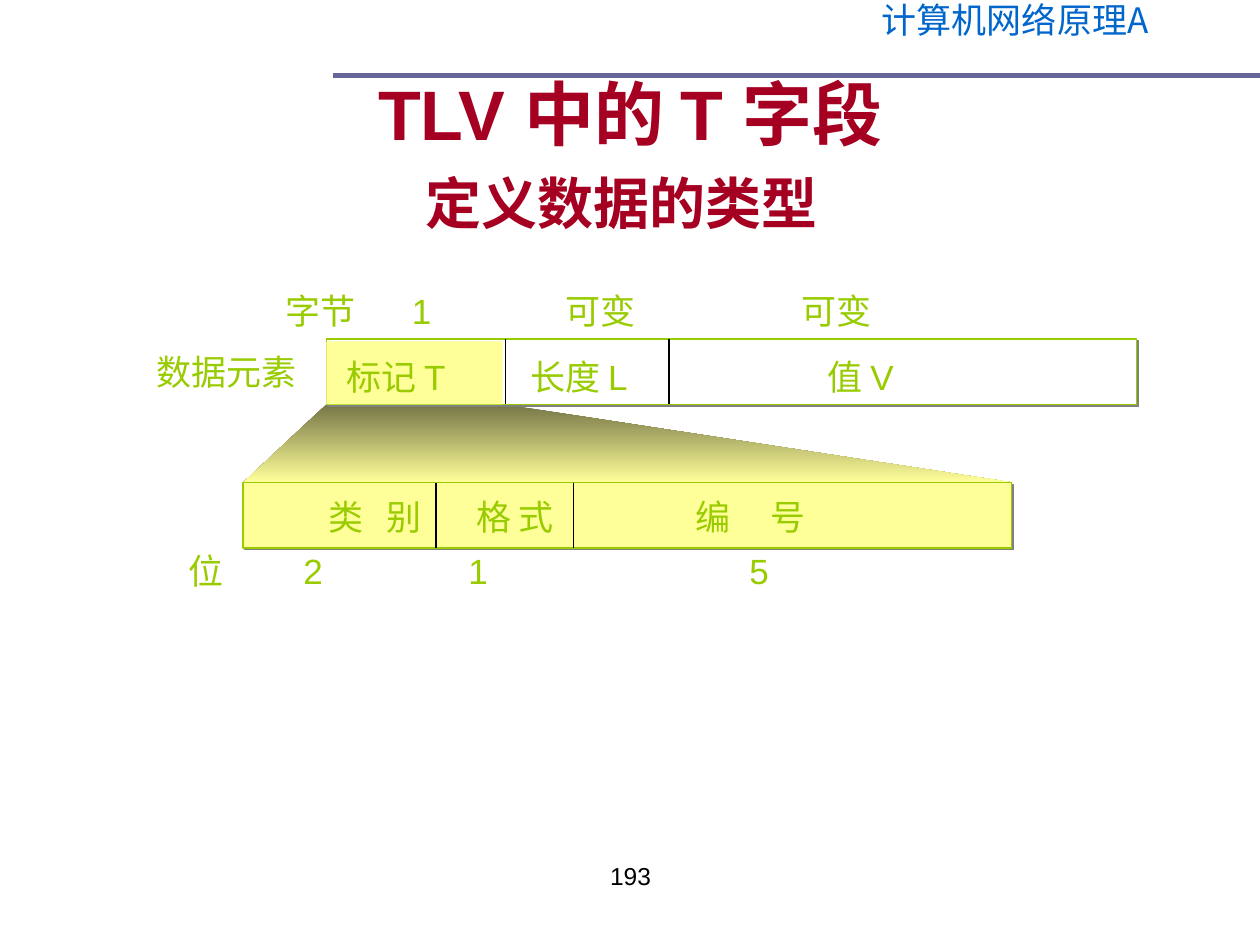
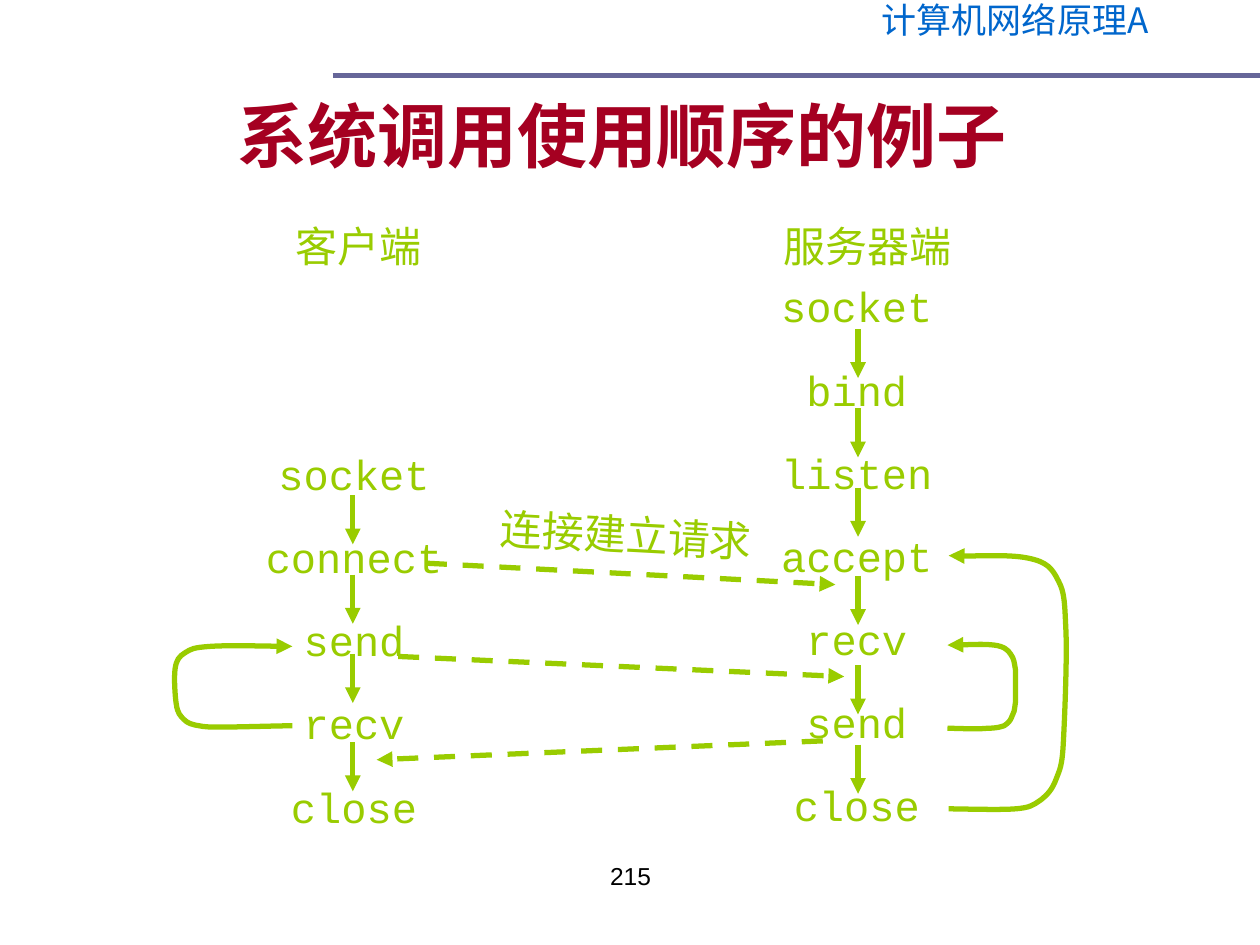
import pptx
import pptx.util
import pptx.dml.color
import pptx.enum.dml
import pptx.enum.shapes
import pptx.enum.text
import pptx.oxml.ns
from lxml import etree

Inches = pptx.util.Inches
RGBColor = pptx.dml.color.RGBColor
qn = pptx.oxml.ns.qn
ALIGN = pptx.enum.text.PP_ALIGN
RECTANGLE = pptx.enum.shapes.MSO_SHAPE.RECTANGLE
STRAIGHT = pptx.enum.shapes.MSO_CONNECTOR.STRAIGHT

GREEN = RGBColor(0x99, 0xCC, 0x00)
YELLOW = RGBColor(0xFF, 0xFF, 0x99)
OLIVE = RGBColor(0x76, 0x76, 0x47)
RED = RGBColor(0xA5, 0x00, 0x21)
BLUE = RGBColor(0x00, 0x66, 0xCC)
SLATE = RGBColor(0x66, 0x66, 0x99)
BLACK = RGBColor(0x00, 0x00, 0x00)
WHITE = RGBColor(0xFF, 0xFF, 0xFF)
CJK_FONT = "Noto Sans CJK SC"
CODE_FONT = "Courier New"


def write(slide, text, at, box=None, size=20, font="Arial", color=GREEN, bold=False,
          align=ALIGN.LEFT, wrap=False, spacing=None,
          anchor=pptx.enum.text.MSO_ANCHOR.TOP, tabs=()):
    """Fill a new text box, or the given one, with a string or (string, size) pairs."""
    places = [Inches(length) for length in at]
    if box is None:
        box = slide.shapes.add_textbox(*places)
    box.left, box.top, box.width, box.height = places
    frame = box.text_frame
    frame.word_wrap = wrap
    frame.auto_size = pptx.enum.text.MSO_AUTO_SIZE.NONE
    frame.vertical_anchor = anchor
    para = frame.paragraphs[0]
    para.alignment = align
    if spacing:
        para.line_spacing = spacing
    if tabs:
        tab_list = etree.SubElement(para._p.get_or_add_pPr(), qn("a:tabLst"))
        for stop in tabs:
            etree.SubElement(tab_list, qn("a:tab"), pos=str(Inches(stop)), algn="l")
    for words, points in [(text, size)] if isinstance(text, str) else text:
        if words.startswith("\n"):
            para.add_line_break()
        span = para.add_run()
        span.text = words.lstrip("\n")
        span.font.size = pptx.util.Pt(points)
        span.font.name = font
        span.font.bold = bold
        span.font.color.rgb = color
        etree.SubElement(span._r.get_or_add_rPr(), qn("a:ea"), typeface=CJK_FONT)
    return box


def stroke(shape, color=GREEN, width=3, arrow=False, dashed=False):
    """Style an outline and return the shape's empty effect list."""
    shape.line.color.rgb = color
    shape.line.width = pptx.util.Pt(width)
    if dashed:
        shape.line.dash_style = pptx.enum.dml.MSO_LINE.DASH
    properties = shape._element.spPr
    if arrow:
        etree.SubElement(properties.find(qn("a:ln")), qn("a:tailEnd"), type="triangle")
    return etree.SubElement(properties, qn("a:effectLst"))


deck = pptx.Presentation()
deck.slide_width, deck.slide_height = Inches(10), Inches(7.5)

# Header, rule, title and page number
pages = []
for title, title_top, number in [
    ([("TLV 中的 T 字段", 40), ("\n定义数据的类型", 32), (" ", 40)], 0.6, "193"),
    ([("系统调用使用顺序的例子 ", 40)], 0.44, "215"),
]:
    slide = deck.slides.add_slide(deck.slide_layouts[5])
    write(slide, "计算机网络原理A", (6.9, 0, 2.99, 0.44),
          font=CJK_FONT, color=BLUE, spacing=0.8)
    rule = slide.shapes.add_connector(
        STRAIGHT, Inches(2.64), Inches(0.6), Inches(10), Inches(0.6))
    stroke(rule, SLATE)
    write(slide, title, (0.5, title_top, 9, 1.25), box=slide.shapes.title,
          color=RED, bold=True, align=ALIGN.CENTER, wrap=True,
          anchor=pptx.enum.text.MSO_ANCHOR.MIDDLE)
    write(slide, number, (3.42, 6.83, 3.17, 0.52), size=14, color=BLACK,
          align=ALIGN.CENTER, wrap=True, spacing=0.8)
    pages.append(slide)
tlv_slide, calls_slide = pages

# The T field fans out into its bits
fan_points = [(Inches(x), Inches(y)) for x, y in
              [(1.93, 3.83), (2.59, 3.21), (4, 3.21), (8.04, 3.83)]]
builder = tlv_slide.shapes.build_freeform(*fan_points[0], scale=1.0)
builder.add_line_segments(fan_points[1:], close=True)
fan = builder.convert_to_shape()
fan.shadow.inherit = False
fan.line.fill.background()
fan.fill.gradient()
fan.fill.gradient_angle = 270
for stop, color in zip(fan.fill.gradient_stops, (OLIVE, YELLOW)):
    stop.color.rgb = color

FIELD_HEIGHT = 0.52
for left, top, width, color, dividers in [
    (2.59, 2.69, 6.43, WHITE, (4.01, 5.31)),
    (1.93, 3.83, 6.1, YELLOW, (3.46, 4.55)),
]:
    row = tlv_slide.shapes.add_shape(
        RECTANGLE, Inches(left), Inches(top), Inches(width), Inches(FIELD_HEIGHT))
    row.fill.solid()
    row.fill.fore_color.rgb = color
    effects = stroke(row, GREEN, 0.75)
    shadow = etree.SubElement(effects, qn("a:outerShdw"), dist="17961", dir="2700000")
    etree.SubElement(shadow, qn("a:srgbClr"), val="808080")
    for x in dividers:
        divider = tlv_slide.shapes.add_connector(
            STRAIGHT, Inches(x), Inches(top), Inches(x), Inches(top + FIELD_HEIGHT))
        stroke(divider, BLACK, 0.75)

tag_field = tlv_slide.shapes.add_shape(
    RECTANGLE, Inches(2.59), Inches(2.71), Inches(1.4), Inches(0.5))
tag_field.shadow.inherit = False
tag_field.fill.solid()
tag_field.fill.fore_color.rgb = YELLOW
tag_field.line.fill.background()

for text, left, top, width, tabs in [
    ("字节\t1\t可变\t可变", 2.17, 2.25, 4.9, (1, 2.22, 4.09)),
    ("标记 T\t长度 L\t值 V", 2.65, 2.77, 4.7, (1.46, 3.82)),
    ("类\t别\t格 式\t编\t号", 2.51, 3.88, 4.1, (0.46, 1.17, 2.91, 3.51)),
    ("位\t2\t1\t5", 1.4, 4.31, 4.9, (0.91, 2.22, 4.45)),
    ("数据元素", 1.14, 2.73, 1.96, ()),
]:
    write(tlv_slide, text, (left, top, width, 0.44), wrap=True, tabs=tabs)

# Call sequence on each side
CALL_STEP = 0.66
for heading, heading_left, heading_width, center, arrow_x, first_top, calls, arrow_tops in [
    ("服务器端", 6.12, 1.53, 6.8, 6.81, 2.18,
     ("socket", "bind", "listen", "accept", "recv", "send", "close"),
     (2.61, 3.24, 3.87, 4.57, 5.28, 5.91)),
    ("客户端", 2.25, 1.2, 2.81, 2.8, 3.51,
     ("socket", "connect", "send", "recv", "close"),
     (3.93, 4.56, 5.19, 5.89)),
]:
    write(calls_slide, heading, (heading_left, 1.7, heading_width, 0.5), size=24)
    for index, call in enumerate(calls):
        width = 0.2 * len(call) + 0.2
        write(calls_slide, call,
              (center - width / 2, first_top + index * CALL_STEP, width, 0.5),
              size=24, font=CODE_FONT, align=ALIGN.CENTER)
    for top in arrow_tops:
        step = calls_slide.shapes.add_connector(
            STRAIGHT, Inches(arrow_x), Inches(top), Inches(arrow_x), Inches(top + 0.39))
        stroke(step, arrow=True)

# Messages between the two sides
for ends in [(3.16, 5.21, 6.7, 5.37), (6.53, 5.88, 2.99, 6.03), (3.38, 4.47, 6.63, 4.64)]:
    message = calls_slide.shapes.add_connector(STRAIGHT, *[Inches(end) for end in ends])
    stroke(message, arrow=True, dashed=True)
request = write(calls_slide, "连接建立请求", (3.87, 3.99, 2.2, 0.5), size=24)
request.rotation = 3.1

# Loops back to an earlier call: a start, then three points for each cubic curve
client_loop = [
    (2.32, 5.76), (2.23, 5.76), (1.9, 5.77), (1.78, 5.77), (1.65, 5.77), (1.63, 5.77),
    (1.58, 5.76), (1.52, 5.75), (1.49, 5.74), (1.46, 5.71), (1.43, 5.68), (1.41, 5.66),
    (1.4, 5.59), (1.39, 5.53), (1.38, 5.38), (1.39, 5.31), (1.4, 5.24), (1.42, 5.21),
    (1.47, 5.18), (1.52, 5.15), (1.53, 5.14), (1.67, 5.13), (1.82, 5.12), (2.18, 5.13),
    (2.32, 5.13)]
receive_loop = [
    (7.52, 5.78), (7.57, 5.78), (7.76, 5.79), (7.84, 5.78), (7.91, 5.78), (7.94, 5.77),
    (7.97, 5.76), (8, 5.74), (8.02, 5.72), (8.03, 5.69), (8.05, 5.66), (8.05, 5.64),
    (8.06, 5.57), (8.06, 5.51), (8.06, 5.39), (8.06, 5.32), (8.05, 5.26), (8.05, 5.23),
    (8.02, 5.19), (8, 5.16), (7.97, 5.13), (7.89, 5.12), (7.81, 5.11), (7.6, 5.12),
    (7.52, 5.12)]
accept_loop = [
    (7.53, 6.42), (7.62, 6.42), (7.94, 6.43), (8.06, 6.42), (8.18, 6.41), (8.2, 6.39),
    (8.26, 6.35), (8.31, 6.31), (8.35, 6.27), (8.38, 6.19), (8.41, 6.11), (8.43, 6.09),
    (8.44, 5.89), (8.45, 5.7), (8.47, 5.22), (8.46, 5), (8.45, 4.79), (8.45, 4.7),
    (8.4, 4.61), (8.35, 4.51), (8.31, 4.46), (8.16, 4.43), (8.02, 4.4), (7.66, 4.42),
    (7.53, 4.41)]
for controls in (client_loop, receive_loop, accept_loop):
    start, *others = [(Inches(x), Inches(y)) for x, y in controls]
    builder = calls_slide.shapes.build_freeform(*start, scale=1.0)
    builder.add_line_segments(others, close=False)
    loop = builder.convert_to_shape()
    loop.fill.background()
    stroke(loop, arrow=True)
    # Gather every three straight segments into one cubic curve
    segments = list(loop._element.iter(qn("a:lnTo")))
    outline = segments[0].getparent()
    for first in range(0, len(segments), 3):
        curve = etree.SubElement(outline, qn("a:cubicBezTo"))
        for segment in segments[first:first + 3]:
            curve.append(segment[0])
            outline.remove(segment)

deck.save("out.pptx")
